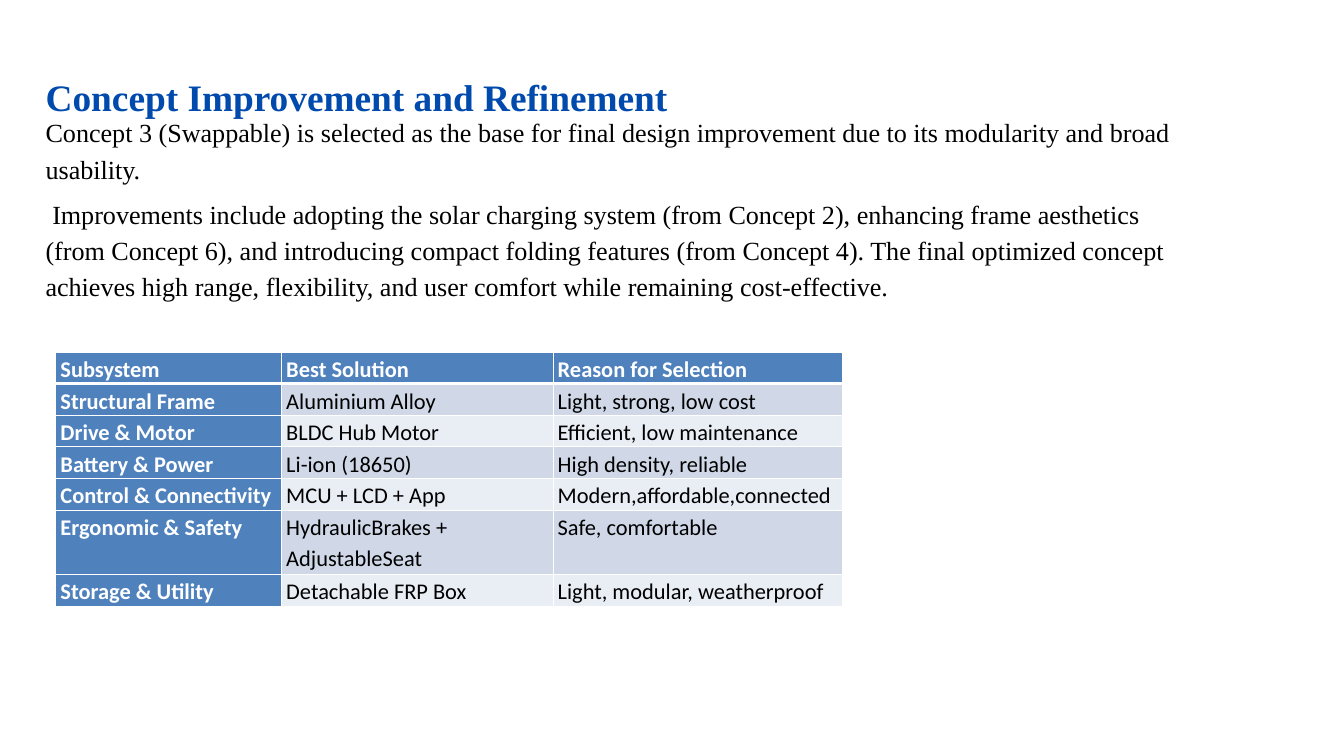
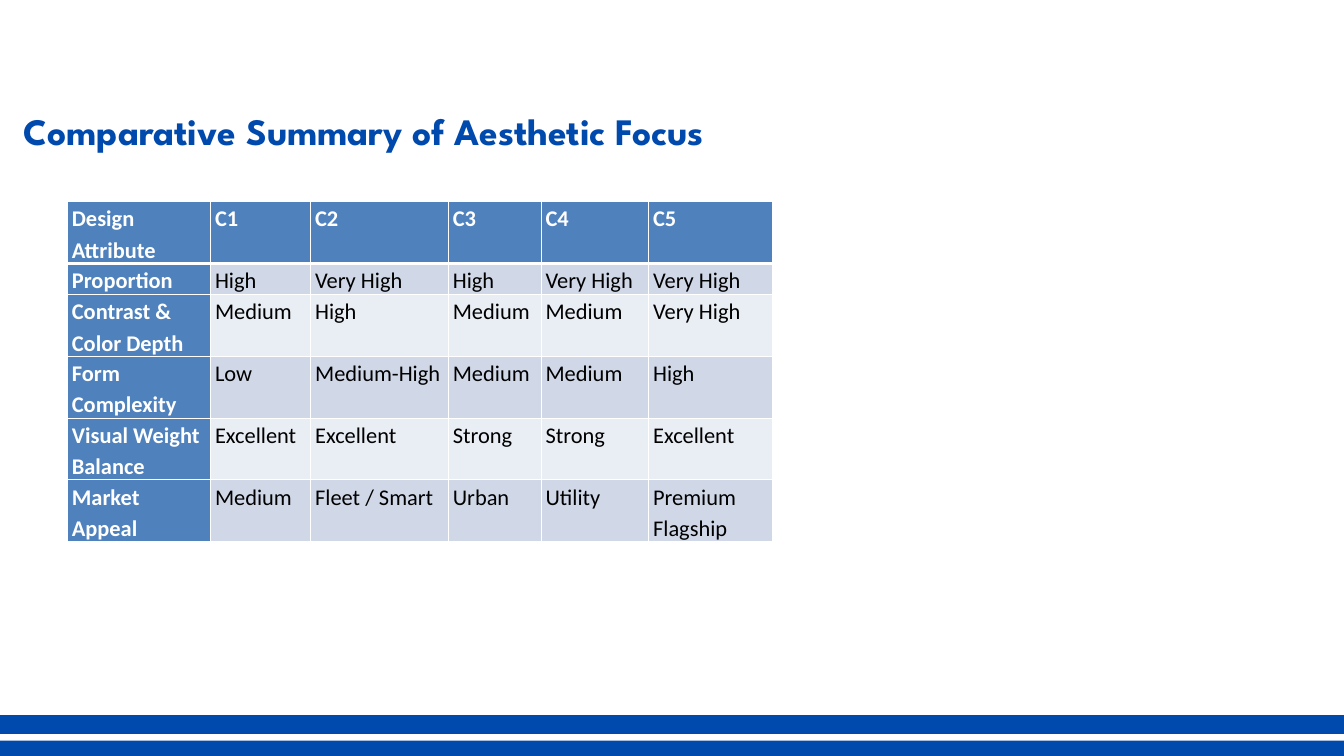
import lxml.etree
import pptx
import pptx.dml.color
import pptx.enum.shapes
import pptx.enum.text
import pptx.oxml.ns
import pptx.util

Inches = pptx.util.Inches
Pt = pptx.util.Pt

BLUE = "004AAD"
HEADER_BLUE = "4F81BD"
ROW_FILLS = ("E9EDF4", "D0D8E8")
WHITE = "FFFFFF"
BLACK = "000000"
SERIF = "Times New Roman"
TABLE_FONT = "Calibri"


def color(value):
    return pptx.dml.color.RGBColor.from_string(value)


class SlideBuilder:
    """Holds the deck, the current slide and the shared style."""

    def __init__(self, width, height):
        self.deck = pptx.Presentation()
        self.deck.slide_width = Inches(width)
        self.deck.slide_height = Inches(height)
        self.page = None

    def format_para(self, para, font, size, ink, bold=False):
        para.alignment = pptx.enum.text.PP_ALIGN.LEFT
        para.line_spacing = 1.15
        para.space_before = Pt(0)
        para.space_after = Pt(10)
        for span in para.runs:
            span.font.name = font
            span.font.size = Pt(size)
            span.font.bold = bold
            span.font.color.rgb = color(ink)

    def fit_frame(self, frame):
        frame.word_wrap = True
        frame.auto_size = pptx.enum.text.MSO_AUTO_SIZE.SHAPE_TO_FIT_TEXT
        frame.vertical_anchor = pptx.enum.text.MSO_ANCHOR.TOP

    def add_page(self, title, left, top, width, height, font):
        """Start a title-only slide and place its title."""
        self.page = self.deck.slides.add_slide(self.deck.slide_layouts[5])
        box = self.page.shapes.title
        box.left, box.top = Inches(left), Inches(top)
        box.width, box.height = Inches(width), Inches(height)
        box.text_frame.text = title
        self.fit_frame(box.text_frame)
        self.format_para(box.text_frame.paragraphs[0], font, 40, BLUE, True)

    def add_body(self, texts, left, top, width, height, later_indent):
        """Add paragraphs; those after the first get a first-line indent."""
        box = self.page.shapes.add_textbox(
            Inches(left), Inches(top), Inches(width), Inches(height))
        frame = box.text_frame
        self.fit_frame(frame)
        frame.text = "\n".join(texts)
        for index, para in enumerate(frame.paragraphs):
            self.format_para(para, SERIF, 28, BLACK)
            if index:
                para._p.get_or_add_pPr().set("indent", str(Inches(later_indent)))

    def add_band(self, left, top, width, height):
        band = self.page.shapes.add_shape(
            pptx.enum.shapes.MSO_SHAPE.RECTANGLE,
            Inches(left), Inches(top), Inches(width), Inches(height))
        band.shadow.inherit = False
        band.fill.solid()
        band.fill.fore_color.rgb = color(BLUE)
        band.line.fill.background()

    def set_borders(self, cell, top, bottom):
        properties = cell._tc.get_or_add_tcPr()
        widths = {"a:lnL": 1, "a:lnR": 1, "a:lnT": top, "a:lnB": bottom}
        for index, (tag, width) in enumerate(widths.items()):
            line = lxml.etree.Element(pptx.oxml.ns.qn(tag), w=str(Pt(width)))
            fill = lxml.etree.SubElement(line, pptx.oxml.ns.qn("a:solidFill"))
            lxml.etree.SubElement(fill, pptx.oxml.ns.qn("a:srgbClr"), val=WHITE)
            properties.insert(index, line)

    def add_table(self, rows, left, top, column_widths, row_heights):
        """Add a banded table with a blue header row and first column."""
        table = self.page.shapes.add_table(
            len(rows), len(column_widths), Inches(left), Inches(top),
            Inches(sum(column_widths)), Inches(sum(row_heights))).table
        table.first_col = True
        for column, width in zip(table.columns, column_widths):
            column.width = Inches(width)
        for row, height in zip(table.rows, row_heights):
            row.height = Inches(height)
        for row_index, texts in enumerate(rows):
            for column_index, text in enumerate(texts):
                heading = row_index == 0 or column_index == 0
                cell = table.cell(row_index, column_index)
                cell.text_frame.text = text
                cell.margin_left = cell.margin_right = Inches(0.07)
                cell.margin_top = cell.margin_bottom = 0
                cell.fill.solid()
                cell.fill.fore_color.rgb = color(
                    HEADER_BLUE if heading else ROW_FILLS[row_index % 2])
                self.set_borders(cell, top=3 if row_index == 1 else 1,
                                 bottom=3 if row_index == 0 else 1)
                self.format_para(cell.text_frame.paragraphs[0], TABLE_FONT, 24,
                                 WHITE if heading else BLACK, heading)


IMPROVEMENTS = [
    "Concept 3 (Swappable) is selected as the base for final design improvement "
    "due to its modularity and broad usability.",
    "Improvements include adopting the solar charging system (from Concept 2), "
    "enhancing frame aesthetics (from Concept 6), and introducing compact folding "
    "features (from Concept 4). The final optimized concept achieves high range, "
    "flexibility, and user comfort while remaining cost-effective.",
]

SUBSYSTEMS = [
    ("Subsystem", "Best Solution", "Reason for Selection"),
    ("Structural Frame", "Aluminium Alloy", "Light, strong, low cost"),
    ("Drive & Motor", "BLDC Hub Motor", "Efficient, low maintenance"),
    ("Battery & Power", "Li-ion (18650)", "High density, reliable"),
    ("Control & Connectivity", "MCU + LCD + App", "Modern,affordable,connected"),
    ("Ergonomic & Safety", "HydraulicBrakes + AdjustableSeat", "Safe, comfortable"),
    ("Storage & Utility", "Detachable FRP Box", "Light, modular, weatherproof"),
]

AESTHETICS = [
    ("Design Attribute", "C1", "C2", "C3", "C4", "C5"),
    ("Proportion", "High", "Very High", "High", "Very High", "Very High"),
    ("Contrast & Color Depth", "Medium", "High", "Medium", "Medium", "Very High"),
    ("Form Complexity", "Low", "Medium-High", "Medium", "Medium", "High"),
    ("Visual Weight Balance", "Excellent", "Excellent", "Strong", "Strong", "Excellent"),
    ("Market Appeal", "Medium", "Fleet / Smart", "Urban", "Utility", "Premium Flagship"),
]


def main():
    builder = SlideBuilder(20, 11.25)

    builder.add_page("Concept Improvement and Refinement", 0.58, 0.96, 10, 0.83, SERIF)
    builder.add_body(IMPROVEMENTS, 0.58, 1.62, 17, 2.92, later_indent=0.1)
    builder.add_table(SUBSYSTEMS, 0.83, 5.24, [3.36, 4.04, 4.3],
                      [0.47] * 5 + [0.96, 0.47])

    builder.add_page("Comparative Summary of Aesthetic Focus", 0.25, 1.46, 16.92, 0.85,
                     "League Spartan")
    for band_top in (11.02, 10.64):
        builder.add_band(-0.12, band_top, 20.25, 0.28)
    builder.add_table(AESTHETICS, 1, 3, [2.13, 1.49, 2.05, 1.38, 1.6, 1.85],
                      [0.92, 0.45] + [0.92] * 4)

    builder.deck.save("out.pptx")


if __name__ == "__main__":
    main()
